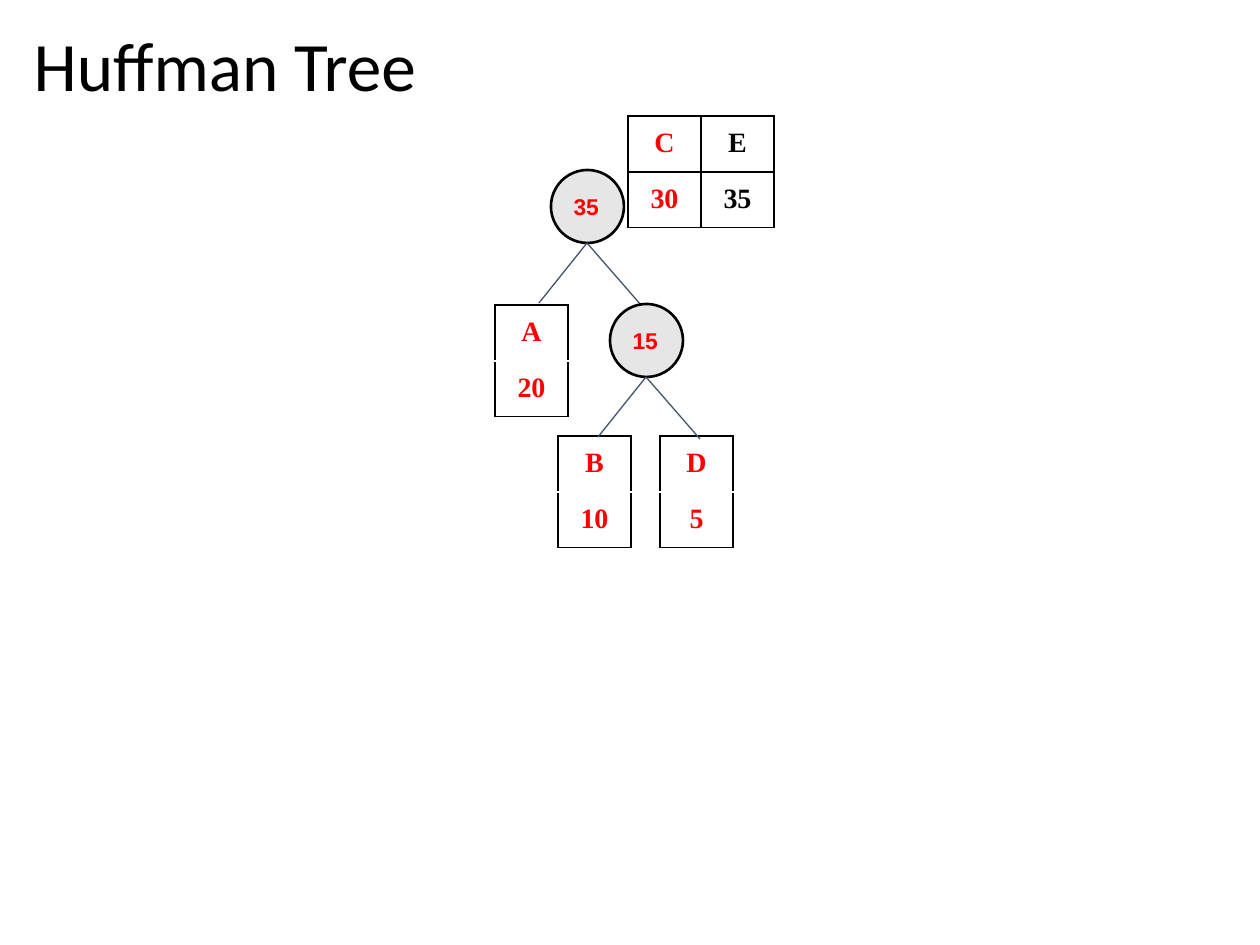
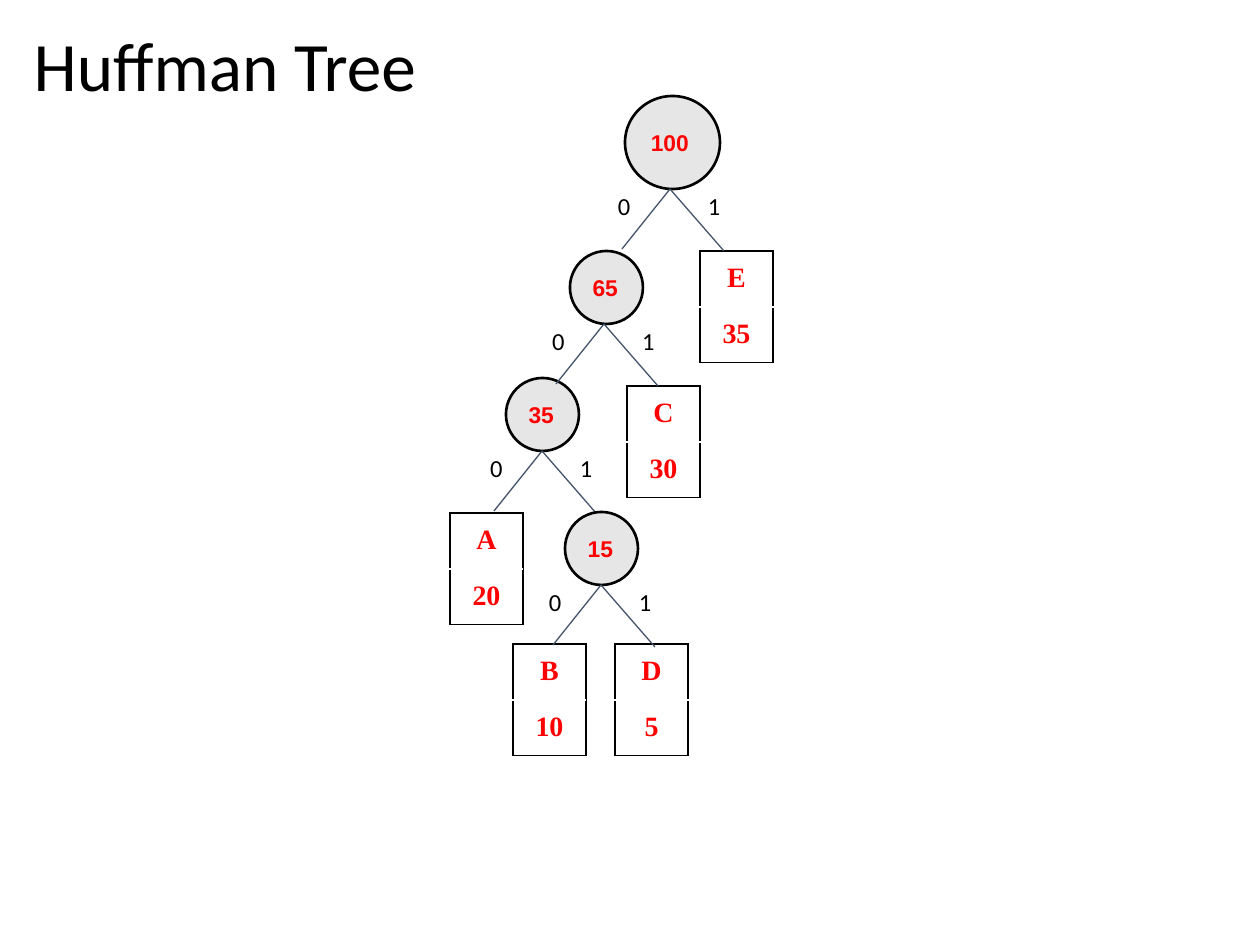
from lxml import etree
from pptx import Presentation
from pptx import util as u
from pptx.dml.color import RGBColor
from pptx.enum import shapes, text
from pptx.oxml.ns import qn

PX = u.Inches(1) / 126
COLORS = {"ink": "000000", "merged": "FF0000", "node": "E7E6E6",
          "branch": "44546A", "paper": "FFFFFF"}
NODE = 73
LEAF_WIDTH, LEAF_ROW = 73, 56
INSET = 12
TITLE_ONLY = 5


def px(*lengths):
    return [u.Emu(round(length * PX)) for length in lengths]


def rgb(name):
    return RGBColor.from_string(COLORS[name])


def write(frame, content, size, font, color="ink", bold=False,
          align=text.PP_ALIGN.LEFT, spacing=None):
    paragraph = frame.paragraphs[0]
    paragraph.alignment = align
    paragraph.line_spacing = spacing
    run = paragraph.add_run()
    run.text = content
    run.font.size = u.Pt(size)
    run.font.name = font
    run.font.bold = bold
    run.font.color.rgb = rgb(color)


def set_margins(holder):
    inset, = px(INSET)
    holder.margin_left = holder.margin_right = inset
    holder.margin_top = holder.margin_bottom = inset


def add_titled_slide(deck, heading):
    slide = deck.slides.add_slide(deck.slide_layouts[TITLE_ONLY])
    title = slide.shapes.title
    title.left, title.top, title.width, title.height = px(21, 23, 1212, 93)
    frame = title.text_frame
    frame.auto_size = text.MSO_AUTO_SIZE.NONE
    frame.vertical_anchor = text.MSO_ANCHOR.MIDDLE
    write(frame, heading, 39.6, "Calibri", spacing=0.9)
    return slide


def set_border(cell, side, color):
    border = etree.SubElement(cell._tc.get_or_add_tcPr(), qn(f"a:ln{side}"),
                              w=str(u.Pt(0.75)))
    fill = etree.SubElement(border, qn("a:solidFill"))
    etree.SubElement(fill, qn("a:srgbClr"), val=COLORS[color])


def add_leaf(slide, symbol, weight, left, top, color="merged", divider="paper"):
    """Symbol above its weight; the divider is the line between them."""
    leaf = slide.shapes.add_table(
        2, 1, *px(left, top, LEAF_WIDTH, 2 * LEAF_ROW)).table
    leaf.first_row = leaf.horz_banding = False
    rows = [(symbol, "ink", divider), (weight, divider, "ink")]
    for index, (content, above, below) in enumerate(rows):
        leaf.rows[index].height, = px(LEAF_ROW)
        cell = leaf.cell(index, 0)
        set_margins(cell)
        for side, edge in zip("LRTB", ("ink", "ink", above, below)):
            set_border(cell, side, edge)
        cell.fill.background()
        write(cell.text_frame, content, 16, "Times New Roman", color, True,
              text.PP_ALIGN.CENTER)


def add_node(slide, weight, left, top, width=NODE, height=NODE):
    node = slide.shapes.add_shape(shapes.MSO_SHAPE.OVAL,
                                  *px(left, top, width, height))
    node.shadow.inherit = False
    node.fill.solid()
    node.fill.fore_color.rgb = rgb("node")
    node.line.color.rgb = rgb("ink")
    node.line.width = u.Pt(1.5)
    set_margins(node.text_frame)
    node.text_frame.vertical_anchor = text.MSO_ANCHOR.MIDDLE
    write(node.text_frame, weight, 13, "Arial", "merged", True)


def add_fork(slide, x, y):
    """Two branches going down from the point x, y."""
    for across, down in ((-48, 60), (54, 62)):
        branch = slide.shapes.add_connector(
            shapes.MSO_CONNECTOR.STRAIGHT, *px(x, y, x + across, y + down))
        branch.line.color.rgb = rgb("branch")
        branch.line.width = u.Pt(0.75)
        etree.SubElement(branch._element.spPr, qn("a:effectLst"))


def add_bits(slide, x, y):
    """Code bits 0 and 1 beside the fork that starts at x, y."""
    bits = slide.shapes.add_textbox(*px(x - 64, y - 10, 148, 55))
    frame = bits.text_frame
    frame.word_wrap = True
    set_margins(frame)
    write(frame, "0\t1", 14, "Calibri")
    stops = etree.SubElement(frame.paragraphs[0]._p.get_or_add_pPr(),
                             qn("a:tabLst"))
    etree.SubElement(stops, qn("a:tab"), pos=str(px(90)[0]), algn="l")


def add_subtree_35(slide, left, top):
    """Subtree of A, B and D; returns the points where its forks start."""
    forks = [(left + 36, top + 73), (left + 95, top + 207)]
    add_leaf(slide, "A", "20", left - 56, top + 135)
    add_node(slide, "35", left, top)
    add_fork(slide, *forks[0])
    add_leaf(slide, "B", "10", left + 7, top + 266)
    add_leaf(slide, "D", "5", left + 109, top + 266)
    add_node(slide, "15", left + 59, top + 134)
    add_fork(slide, *forks[1])
    return forks


def build_partial_tree(deck):
    slide = add_titled_slide(deck, "Huffman Tree")
    queue = [("C", "30", "merged"), ("E", "35", "ink")]
    for index, (symbol, weight, color) in enumerate(queue):
        add_leaf(slide, symbol, weight, 628 + index * LEAF_WIDTH, 116,
                 color, divider="ink")
    add_subtree_35(slide, 551, 170)


def build_coded_tree(deck):
    slide = add_titled_slide(deck, "Huffman Tree")
    add_leaf(slide, "C", "30", 627, 386)
    add_leaf(slide, "E", "35", 700, 251)
    forks = add_subtree_35(slide, 506, 378)
    add_node(slide, "65", 570, 251)
    add_node(slide, "100", 625, 96, 95, 93)
    upper_forks = [(604, 324), (670, 189)]
    for fork in upper_forks:
        add_fork(slide, *fork)
    for fork in forks + upper_forks:
        add_bits(slide, *fork)


def main():
    deck = Presentation()
    deck.slide_width, deck.slide_height = px(1260, 945)
    build_partial_tree(deck)
    build_coded_tree(deck)
    deck.save("out.pptx")


if __name__ == "__main__":
    main()
